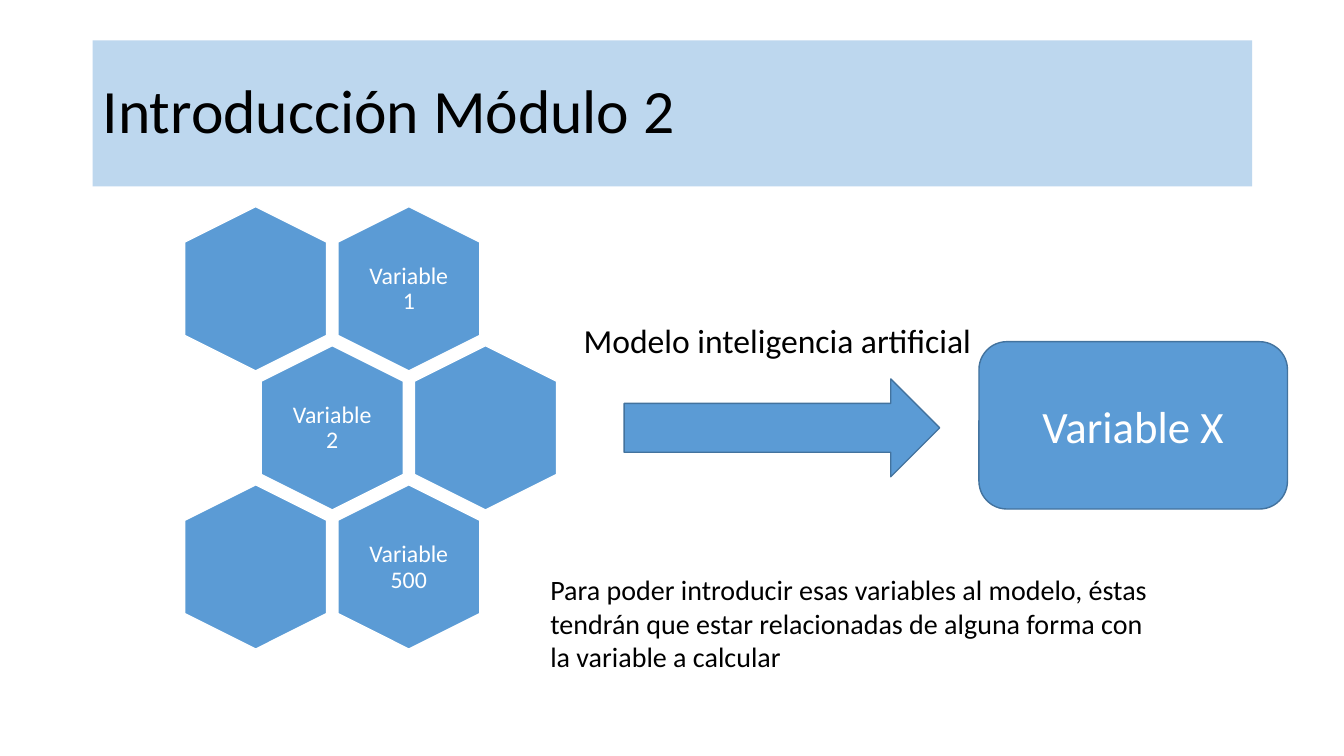
from pptx import Presentation
from pptx.dml.color import RGBColor
from pptx.enum.shapes import MSO_SHAPE as Preset
from pptx.enum.text import MSO_ANCHOR as Anchor, MSO_AUTO_SIZE as AutoSize, PP_ALIGN as Align
from pptx.util import Inches, Pt

BLUE, DARK_BLUE, PALE_BLUE = "5B9BD5", "43739E", "BDD7EE"
WHITE, BLACK = "FFFFFF", "000000"

presentation = Presentation()
presentation.slide_width, presentation.slide_height = Inches(13.33), Inches(7.5)
slide = presentation.slides.add_slide(presentation.slide_layouts[6])


def add_block(preset, box, fill, line=None):
    shape = slide.shapes.add_shape(preset, *map(Inches, box))
    shape.shadow.inherit = False
    shape.fill.solid()
    shape.fill.fore_color.rgb = RGBColor.from_string(fill)
    if line:
        shape.line.color.rgb = RGBColor.from_string(line)
        shape.line.width = Pt(1)
    else:
        shape.line.fill.background()
    return shape


def write(text, size, shape=None, box=None, color=BLACK, align=Align.LEFT,
          anchor=Anchor.MIDDLE, spacing=1.0, inset=None, grow=False):
    """Put text into the given shape, or into a new text box at box."""
    shape = shape or slide.shapes.add_textbox(*map(Inches, box))
    frame = shape.text_frame
    frame.word_wrap = True
    frame.vertical_anchor = anchor
    if grow:
        frame.auto_size = AutoSize.SHAPE_TO_FIT_TEXT
    if inset is not None:
        frame.margin_left = frame.margin_right = Inches(inset)
        frame.margin_top = frame.margin_bottom = Inches(inset)
    paragraph = frame.paragraphs[0]
    paragraph.alignment = align
    paragraph.line_spacing = spacing
    run = paragraph.add_run()
    run.text = text
    run.font.name = "Calibri"
    run.font.size = Pt(size)
    run.font.color.rgb = RGBColor.from_string(color)


title = add_block(Preset.RECTANGLE, (0.92, 0.4, 11.5, 1.45), PALE_BLUE)
write("Introducción Módulo 2", 44, shape=title, spacing=0.9)

# Honeycomb: the middle row is shifted by half a column
COLUMN_STEP, ROW_STEP = 1.52, 1.38
honeycomb = [("", "Variable 1"), ("Variable 2", ""), ("", "Variable 500")]
for row, labels in enumerate(honeycomb):
    for column, label in enumerate(labels):
        left = 1.72 + (column + row % 2 / 2) * COLUMN_STEP
        top = 2.16 + row * ROW_STEP
        hexagon = add_block(Preset.HEXAGON, (left, top, 1.63, 1.41), BLUE, WHITE)
        hexagon.adjustments[0] = 0.25
        hexagon.rotation = 90
        if label:
            write(label, 17, box=(left + 0.33, top + 0.15, 0.97, 1.12), color=WHITE,
                  align=Align.CENTER, spacing=0.9, inset=0.07)

add_block(Preset.RIGHT_ARROW, (6.19, 3.76, 3.13, 0.97), BLUE, DARK_BLUE)
result = add_block(Preset.ROUNDED_RECTANGLE, (9.71, 3.39, 3.06, 1.66), BLUE, DARK_BLUE)
write("Variable X", 32, shape=result, color=WHITE, align=Align.CENTER)

write("Modelo inteligencia artificial", 24, box=(5.69, 3.12, 4.11, 0.5),
      anchor=Anchor.TOP, grow=True)
write("Para poder introducir esas variables al modelo, éstas tendrán que estar "
      "relacionadas de alguna forma con la variable a calcular", 20,
      box=(5.36, 5.63, 6.26, 1.11), anchor=Anchor.TOP, grow=True)

presentation.save("out.pptx")
